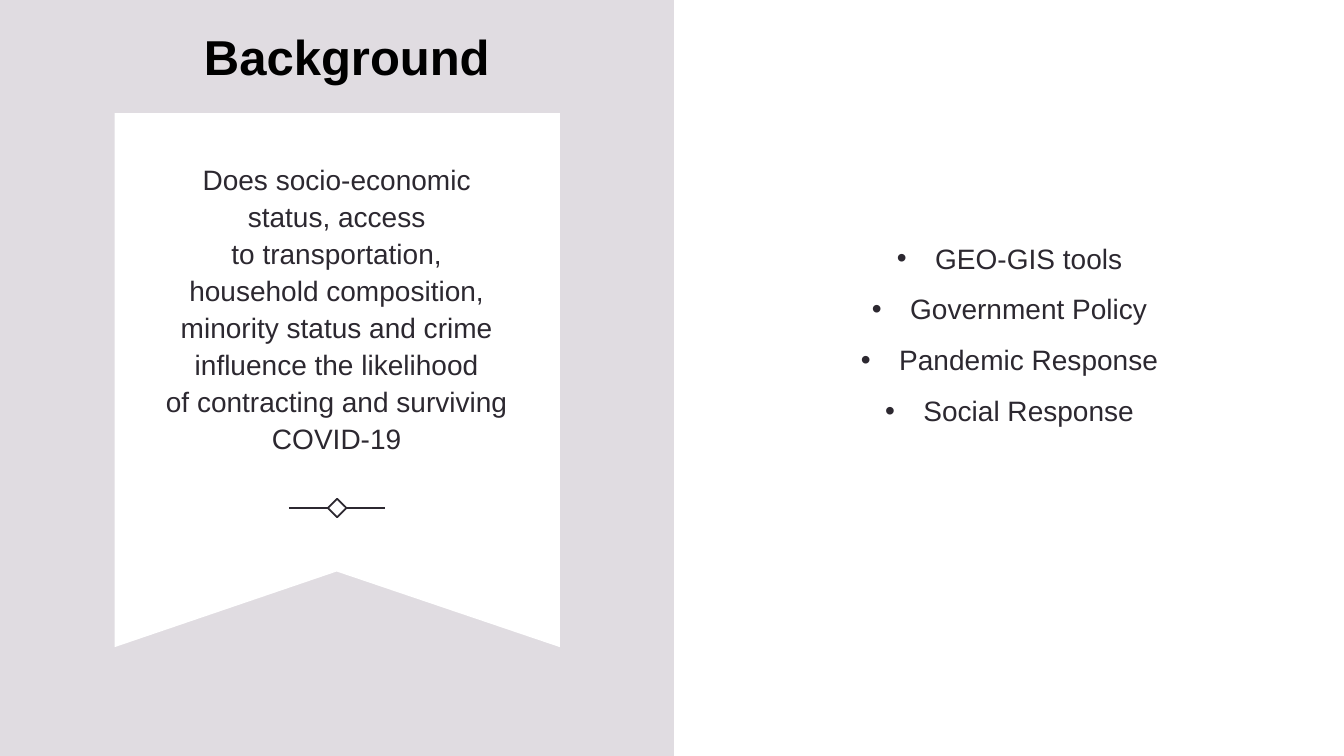
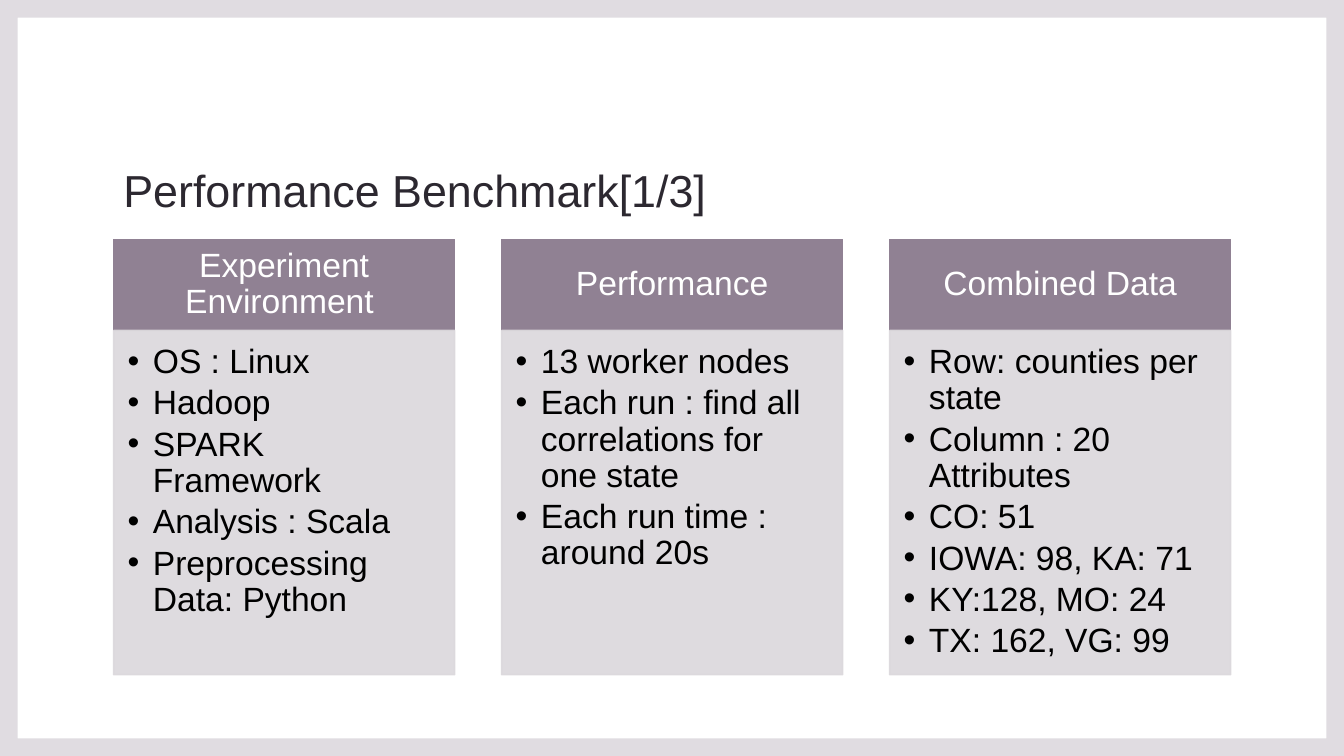
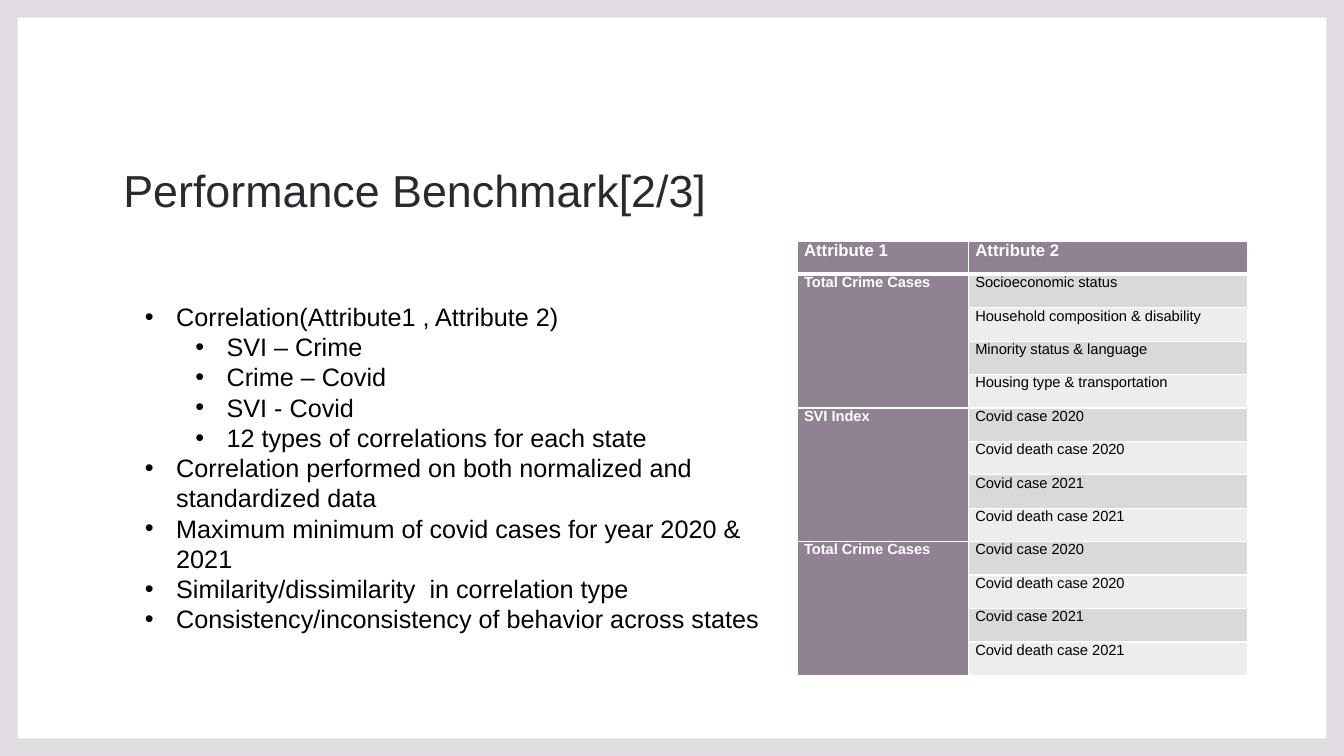
from lxml.etree import SubElement
from pptx import Presentation
from pptx.dml.color import RGBColor
from pptx.enum.shapes import MSO_CONNECTOR, MSO_SHAPE
from pptx.enum.text import MSO_ANCHOR, PP_ALIGN
from pptx.oxml.ns import qn
from pptx.util import Inches, Pt

LILAC, MAUVE, PALE, MIST = "E0DCE1", "908193", "DBD8DC", "EEEDEE"
INK, BLACK, WHITE = "2C2830", "000000", "FFFFFF"
FONT = "Arial"
MID, LEFT = PP_ALIGN.CENTER, PP_ALIGN.LEFT
hue = RGBColor.from_string

deck = Presentation()
deck.slide_width, deck.slide_height = Inches(13.33), Inches(7.5)
col, row = deck.slide_width / 100, deck.slide_height / 100


def form(page, kind, x, y, w, h, fill=None, line=None, wide=1):
    area = [int(n) for n in (x * col, y * row, w * col, h * row)]
    if kind is None:
        return page.shapes.add_textbox(*area)
    shape = page.shapes.add_shape(kind, *area)
    shape.shadow.inherit = False
    if fill:
        shape.fill.solid()
        shape.fill.fore_color.rgb = hue(fill)
    else:
        shape.fill.background()
    if line:
        shape.line.color.rgb = hue(line)
        shape.line.width = Pt(wide)
    else:
        shape.line.fill.background()
    return shape


def write(frame, *lines, size=18, color=BLACK, bold=False, align=LEFT, anchor=MSO_ANCHOR.TOP,
          pitch=None, before=None, after=None, hang=0, deep=(), pad=(0.1, 0.05, 0.1, 0.05)):
    frame.word_wrap = True
    frame.vertical_anchor = anchor
    sides = [Inches(n) for n in pad]
    frame.margin_left, frame.margin_top, frame.margin_right, frame.margin_bottom = sides
    for i, line in enumerate(lines):
        para = frame.paragraphs[0] if i == 0 else frame.add_paragraph()
        para.alignment = align
        if pitch:
            para.line_spacing = pitch
        if before:
            para.space_before = Pt(before)
        if after:
            para.space_after = Pt(after)
        run = para.add_run()
        run.text = line
        run.font.name, run.font.size, run.font.bold = FONT, Pt(size), bold
        run.font.color.rgb = hue(color)
        if hang:
            left = hang + 0.5 * (i in deep)
            prop = para._p.get_or_add_pPr()
            prop.set("marL", str(Inches(left)))
            prop.set("indent", str(-Inches(hang)))
            SubElement(prop, qn("a:buFont"), typeface=FONT)
            SubElement(prop, qn("a:buChar"), char="•")


blank = deck.slide_layouts[6]
intro, bench, pairs = [deck.slides.add_slide(blank) for _ in range(3)]

form(intro, MSO_SHAPE.RECTANGLE, 0, 0, 50.15, 100, LILAC)
pen = intro.shapes.build_freeform(int(8.53 * col), int(14.95 * row))
edge = [(41.66, 14.95), (41.66, 85.6), (25.05, 75.6), (8.53, 85.6)]
pen.add_line_segments([(int(x * col), int(y * row)) for x, y in edge], close=True)
flag = pen.convert_to_shape()
flag.shadow.inherit = False
flag.fill.solid()
flag.fill.fore_color.rgb = hue(WHITE)
flag.line.fill.background()

form(intro, MSO_SHAPE.DIAMOND, 24.4, 65.97, 1.38, 2.45, line=INK, wide=1.25)
for start in (21.5, 25.75):
    rule = intro.shapes.add_connector(
        MSO_CONNECTOR.STRAIGHT, int(start * col), int(67.2 * row), int((start + 2.9) * col), int(67.2 * row))
    rule.line.color.rgb = hue(INK)
    rule.line.width = Pt(1.25)
    SubElement(rule._element.spPr, qn("a:effectLst"))

tie = chr(160)
write(form(intro, None, 11.25, 19.73, 27.6, 41.87).text_frame,
      f"Does socio-economic status, access to{tie}transportation, household{tie}composition, "
      f"minority status and{tie}crime influence the likelihood of{tie}contracting and surviving COVID-19",
      size=20, color=INK, align=MID, anchor=MSO_ANCHOR.MIDDLE, pitch=1.1)
write(form(intro, None, 57.45, 13.33, 35.33, 61.33).text_frame,
      "GEO-GIS tools", "Government Policy", "Pandemic Response", "Social Response",
      size=20, color=INK, align=MID, anchor=MSO_ANCHOR.MIDDLE, pitch=1.1, before=10, hang=0.38)
write(form(intro, None, 14.43, 2.8, 33, 9.2).text_frame, "Background", size=35, bold=True)

for page, part in ((bench, 1), (pairs, 2)):
    rim = form(page, MSO_SHAPE.FRAME, 0, 0, 100, 100, LILAC)
    rim.adjustments[0] = 0.0233
    write(form(page, None, 8.44, 10.53, 83.1, 18.8).text_frame, f"Performance Benchmark[{part}/3]",
          size=32, color=INK, anchor=MSO_ANCHOR.BOTTOM, pitch=1.1)

cards = {
    "Experiment Environment ": [
        "OS : Linux", "Hadoop", "SPARK Framework", "Analysis : Scala", "Preprocessing Data: Python"],
    "Performance": [
        "13 worker nodes", "Each run : find all correlations for one state", "Each run time : around 20s"],
    "Combined Data": [
        "Row: counties per state", "Column : 20 Attributes", "CO: 51",
        "IOWA: 98, KA: 71", "KY:128, MO: 24", "TX: 162, VG: 99"],
}
for i, (name, facts) in enumerate(cards.items()):
    x = 8.45 + 28.87 * i
    head = form(bench, MSO_SHAPE.RECTANGLE, x, 31.65, 25.38, 12, MAUVE, MAUVE)
    write(head.text_frame, name, size=24, color=WHITE, align=MID, anchor=MSO_ANCHOR.MIDDLE,
          pitch=0.9, pad=(0.19, 0.11, 0.19, 0.11))
    body = form(bench, MSO_SHAPE.RECTANGLE, x, 43.7, 25.38, 45.55, PALE, PALE)
    for tint in body._element.spPr.iter(qn("a:srgbClr")):
        SubElement(tint, qn("a:alpha"), val="90000")
    write(body.text_frame, *facts, size=24, pitch=0.9, after=3.6, hang=0.25,
          pad=(0.14, 0.14, 0.19, 0.21))

covid = ["Covid case 2020", "Covid death case 2020", "Covid case 2021", "Covid death case 2021"]
themes = ["Socioeconomic status", "Household composition & disability",
          "Minority status & language", "Housing type & transportation"]
groups = [("Total Crime Cases", themes), ("SVI Index", covid), ("Total Crime Cases", covid)]
rows = [("Attribute 1", "Attribute 2")]
for name, items in groups:
    rows += [(name if i == 0 else "", item) for i, item in enumerate(items)]

grid = pairs.shapes.add_table(
    len(rows), 2, int(59.3 * col), int(31.87 * row), int(33.5 * col), int(57.5 * row)).table
for i, share in enumerate((12.75, 20.75)):
    grid.columns[i].width = int(share * col)
for r, texts in enumerate(rows):
    grid.rows[r].height = int(57.5 * row / len(rows))
    for c, text in enumerate(texts):
        cell = grid.cell(r, c)
        dark = r == 0 or c == 0
        prop = cell._tc.get_or_add_tcPr()
        for side in ("lnL", "lnR", "lnT", "lnB"):
            thick = (r, side) in ((0, "lnB"), (1, "lnT"))
            line = SubElement(prop, qn("a:" + side), w=str(Pt(3 if thick else 1)))
            SubElement(SubElement(line, qn("a:solidFill")), qn("a:srgbClr"), val=WHITE)
        cell.fill.solid()
        cell.fill.fore_color.rgb = hue(MAUVE if dark else PALE if r % 2 else MIST)
        if text:
            write(cell.text_frame, text, size=10.5 if r else 12, color=WHITE if dark else BLACK,
                  bold=dark)
        else:
            cell.text_frame.paragraphs[0].font.size = Pt(10.5)
        cell.margin_left = cell.margin_right = Inches(0.07)
        cell.margin_top = cell.margin_bottom = 0
for top in range(1, len(rows), 4):
    grid.cell(top, 0).merge(grid.cell(top + 3, 0))

write(form(pairs, None, 10.05, 39.2, 47.8, 45.87).text_frame,
      "Correlation(Attribute1 , Attribute 2)", "SVI – Crime", "Crime – Covid", "SVI - Covid",
      "12 types of correlations for each state",
      "Correlation performed on both normalized and standardized data",
      "Maximum minimum of covid cases for year 2020 & 2021",
      "Similarity/dissimilarity  in correlation type",
      "Consistency/inconsistency of behavior across states",
      hang=0.31, deep=range(1, 5))

deck.save("out.pptx")
